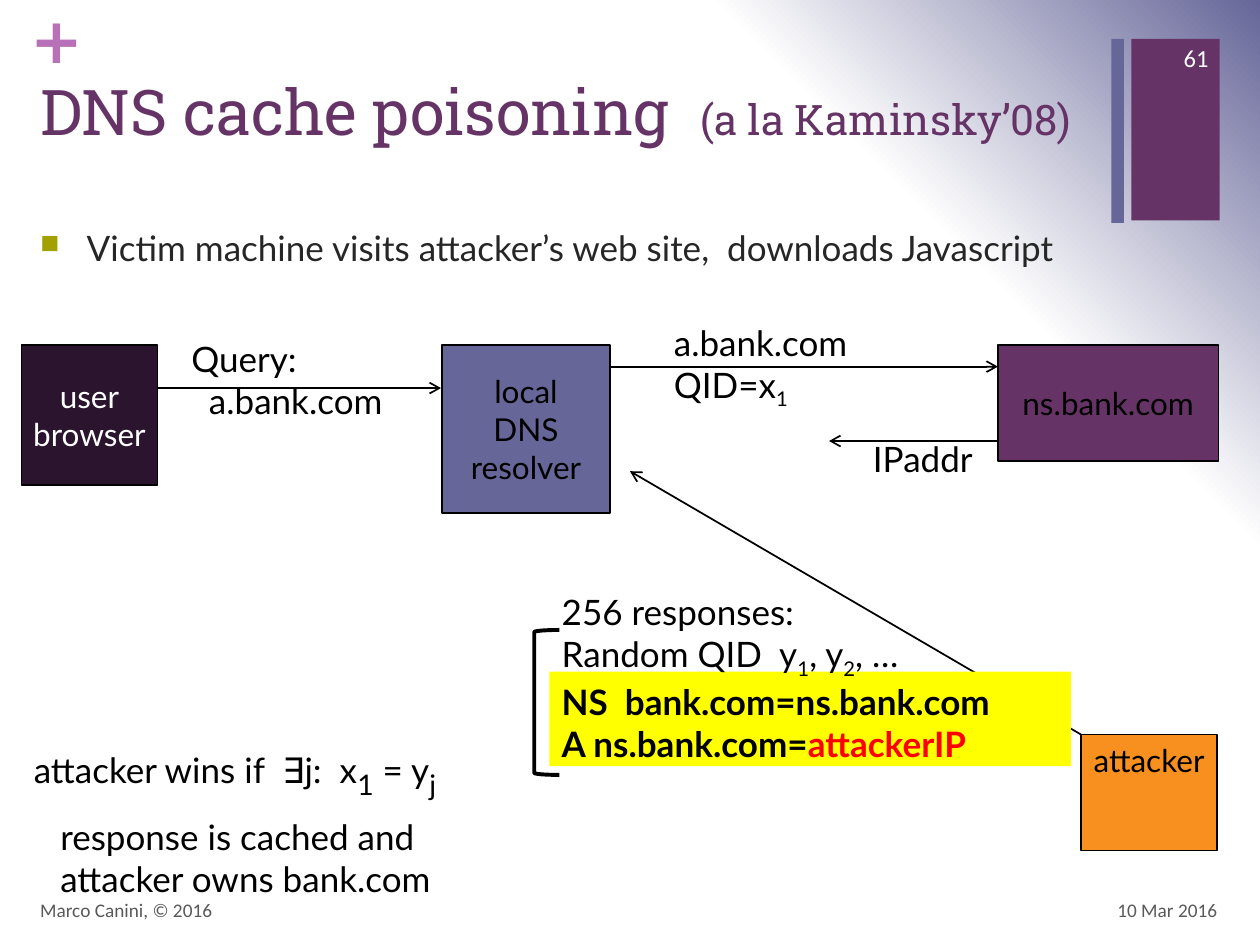
from lxml import etree
from pptx import Presentation
from pptx.dml.color import RGBColor
from pptx.enum.shapes import MSO_CONNECTOR, MSO_SHAPE
from pptx.enum.text import MSO_ANCHOR, PP_ALIGN
from pptx.oxml import parse_xml
from pptx.oxml.ns import nsdecls, qn
from pptx.util import Inches, Pt

PURPLE, SLATE, BLACK, WHITE = "663366", "666699", "000000", "FFFFFF"
GREY, YELLOW = "595959", "FFFF00"
LEFT, CENTER, RIGHT = PP_ALIGN.LEFT, PP_ALIGN.CENTER, PP_ALIGN.RIGHT
TOP, MIDDLE = MSO_ANCHOR.TOP, MSO_ANCHOR.MIDDLE
BODY = {"name": "Lato", "size": 20, "color": BLACK}
FOOTER = {"name": "Calibri", "size": 11, "color": GREY}
LOWERED = {"baseline": -25000}
LARGE_LOWERED = {"baseline": -25000, "size": 28}
BOLD = {"bold": True}

# box, fill
PLAIN_BLOCKS = [
    ((8.98, 0.31, 0.7, 1.44), PURPLE),
    ((8.82, 0.31, 0.1, 1.46), SLATE),
]

# box, fill, text colour, anchor, lines
HOSTS = [
    ((0.17, 2.74, 1.08, 1.11), "2B142D", WHITE, MIDDLE, ["user", "browser"]),
    ((3.51, 2.74, 1.33, 1.33), SLATE, BLACK, MIDDLE, ["local", "DNS", "resolver"]),
    ((7.92, 2.74, 1.75, 0.92), PURPLE, BLACK, MIDDLE, ["ns.bank.com"]),
    ((8.58, 5.83, 1.08, 0.92), "F7901E", BLACK, TOP, ["attacker"]),
]

# start, end
ARROWS = [
    ((1.25, 3.08), (3.5, 3.08)),
    ((4.83, 2.91), (7.92, 2.91)),
    ((7.92, 3.5), (6.58, 3.5)),
    ((8.58, 5.83), (5, 3.74)),
]

HIGHLIGHT = ((4.36, 5.33, 4.14, 0.75), YELLOW)
BRACKET = (4.24, 5, 0.2, 1.15)

# box, base format, paragraphs (lists of runs: text or (text, format)), options
TEXTS = [
    ((0.24, 0, 0.29, 0.61),
     {"name": "DejaVu Sans", "size": 36, "color": "B870B8", "bold": True},
     [["+"]], {"inset": 0}),
    ((0.22, 0.53, 8.59, 1.22),
     {"name": "Roboto Slab", "size": 36, "color": PURPLE},
     [["DNS cache poisoning  ", ("(a la Kaminsky’08)", {"size": 24})]], {}),
    ((0.22, 1.75, 9.54, 5.27), {**BODY, "color": "262626"},
     [["Victim machine visits attacker’s web site,  downloads Javascript"]],
     {"bullet": True}),
    ((1.42, 2.63, 1.81, 0.77), BODY, [["Query:"], ["a.bank.com"]],
     {"wrap": False, "indents": [0, 0.14]}),
    ((5.25, 2.5, 1.63, 0.77), BODY,
     [["a.bank.com"], ["QID=x", ("1", LOWERED)]], {"wrap": False}),
    ((6.83, 3.42, 1.01, 0.44), BODY, [["IPaddr"]], {"wrap": False}),
    ((0.17, 5.78, 3.75, 1.22), BODY,
     [["attacker wins if  ∃j:  x", ("1", LARGE_LOWERED), " = y", ("j", LARGE_LOWERED)],
      ["response is cached and", "\n", "attacker owns bank.com"]],
     {"indents": [0, 0.21], "gap": 8}),
    ((4.36, 4.64, 4.14, 1.45), BODY,
     [["256 responses:"],
      ["Random QID  y", ("1", LOWERED), ", y", ("2", LOWERED), ", …"],
      [("NS  bank.com=ns.bank.com", BOLD)],
      [("A ns.bank.com=", BOLD), ("attackerIP", {**BOLD, "color": "FF0000"})]],
     {"wrap": False}),
    ((7.43, 7.02, 2.33, 0.4), FOOTER, [["10 Mar 2016"]],
     {"align": RIGHT, "anchor": MIDDLE}),
    ((0.22, 7.02, 6.7, 0.4), FOOTER, [["Marco Canini, © 2016"]], {"anchor": MIDDLE}),
    ((9.08, 0.26, 0.61, 0.4), {"name": "Calibri", "size": 14, "color": WHITE},
     [["61"]], {"align": RIGHT, "anchor": MIDDLE}),
]


def rgb(value):
    return RGBColor.from_string(value)


def set_background(slide):
    """Radial gradient centred on the bottom-left corner."""
    stops = "".join(
        f'<a:gs pos="{position * 1000}"><a:srgbClr val="{color}"/></a:gs>'
        for position, color in [(0, WHITE), (75, WHITE), (100, SLATE)])
    background = parse_xml(
        f'<p:bg {nsdecls("p", "a")}><p:bgPr><a:gradFill rotWithShape="1">'
        f'<a:gsLst>{stops}</a:gsLst><a:path path="circle">'
        '<a:fillToRect t="100000" r="100000"/></a:path></a:gradFill>'
        '<a:effectLst/></p:bgPr></p:bg>')
    slide.element.cSld.insert(0, background)


def add_bullet(paragraph):
    properties = paragraph._p.get_or_add_pPr()
    properties.set("marL", str(Inches(0.37)))
    properties.set("indent", str(Inches(-0.37)))
    color = etree.SubElement(properties, qn("a:buClr"))
    etree.SubElement(color, qn("a:srgbClr"), val="A3A101")
    etree.SubElement(properties, qn("a:buSzPct"), val="75000")
    etree.SubElement(properties, qn("a:buChar"), char="■")


def add_run(paragraph, text, style):
    if text == "\n":
        paragraph.add_line_break()
        return
    run = paragraph.add_run()
    run.text = text
    for key, value in style.items():
        if key == "color":
            run.font.color.rgb = rgb(value)
        elif key == "baseline":
            run._r.get_or_add_rPr().set("baseline", str(value))
        else:
            setattr(run.font, key, Pt(value) if key == "size" else value)


def write_text(shape, paragraphs, style, align=LEFT, anchor=TOP, wrap=True,
               inset=None, indents=(), gap=0, bullet=False):
    frame = shape.text_frame
    frame.word_wrap = wrap
    frame.vertical_anchor = anchor
    if inset is not None:
        for side in ("left", "top", "right", "bottom"):
            setattr(frame, f"margin_{side}", Inches(inset))
    for index, runs in enumerate(paragraphs):
        paragraph = frame.add_paragraph() if index else frame.paragraphs[0]
        paragraph.alignment = align
        if index and gap:
            paragraph.space_before = Pt(gap)
        if bullet:
            add_bullet(paragraph)
        if indents:
            paragraph._p.get_or_add_pPr().set("marL", str(Inches(indents[index])))
        for run in runs:
            text, changes = (run, {}) if isinstance(run, str) else run
            add_run(paragraph, text, {**style, **changes})


def add_block(slide, box, fill=None, line_width=None, kind=MSO_SHAPE.RECTANGLE):
    shape = slide.shapes.add_shape(kind, *map(Inches, box))
    shape.shadow.inherit = False
    if fill:
        shape.fill.solid()
        shape.fill.fore_color.rgb = rgb(fill)
    else:
        shape.fill.background()
    if line_width:
        shape.line.color.rgb = rgb(BLACK)
        shape.line.width = Pt(line_width)
    else:
        shape.line.fill.background()
    return shape


def add_arrow(slide, start, end):
    arrow = slide.shapes.add_connector(
        MSO_CONNECTOR.STRAIGHT, *map(Inches, start + end))
    arrow.line.color.rgb = rgb(BLACK)
    arrow.line.width = Pt(1)
    etree.SubElement(arrow.line._get_or_add_ln(), qn("a:tailEnd"), type="arrow")
    etree.SubElement(arrow._element.spPr, qn("a:effectLst"))


def main():
    presentation = Presentation()
    presentation.slide_width, presentation.slide_height = Inches(10), Inches(7.5)
    slide = presentation.slides.add_slide(presentation.slide_layouts[6])
    set_background(slide)
    for box, fill in PLAIN_BLOCKS:
        add_block(slide, box, fill)
    for box, fill, color, anchor, lines in HOSTS:
        host = add_block(slide, box, fill, 1)
        write_text(host, [[line] for line in lines],
                   {**BODY, "size": 18, "color": color}, CENTER, anchor, wrap=False)
    for start, end in ARROWS:
        add_arrow(slide, start, end)
    add_block(slide, *HIGHLIGHT)
    bracket = add_block(slide, BRACKET, line_width=2.25, kind=MSO_SHAPE.LEFT_BRACKET)
    bracket.adjustments[0] = 0.08
    for box, style, paragraphs, options in TEXTS:
        text_box = slide.shapes.add_textbox(*map(Inches, box))
        write_text(text_box, paragraphs, style, **options)
    presentation.save("out.pptx")


if __name__ == "__main__":
    main()
